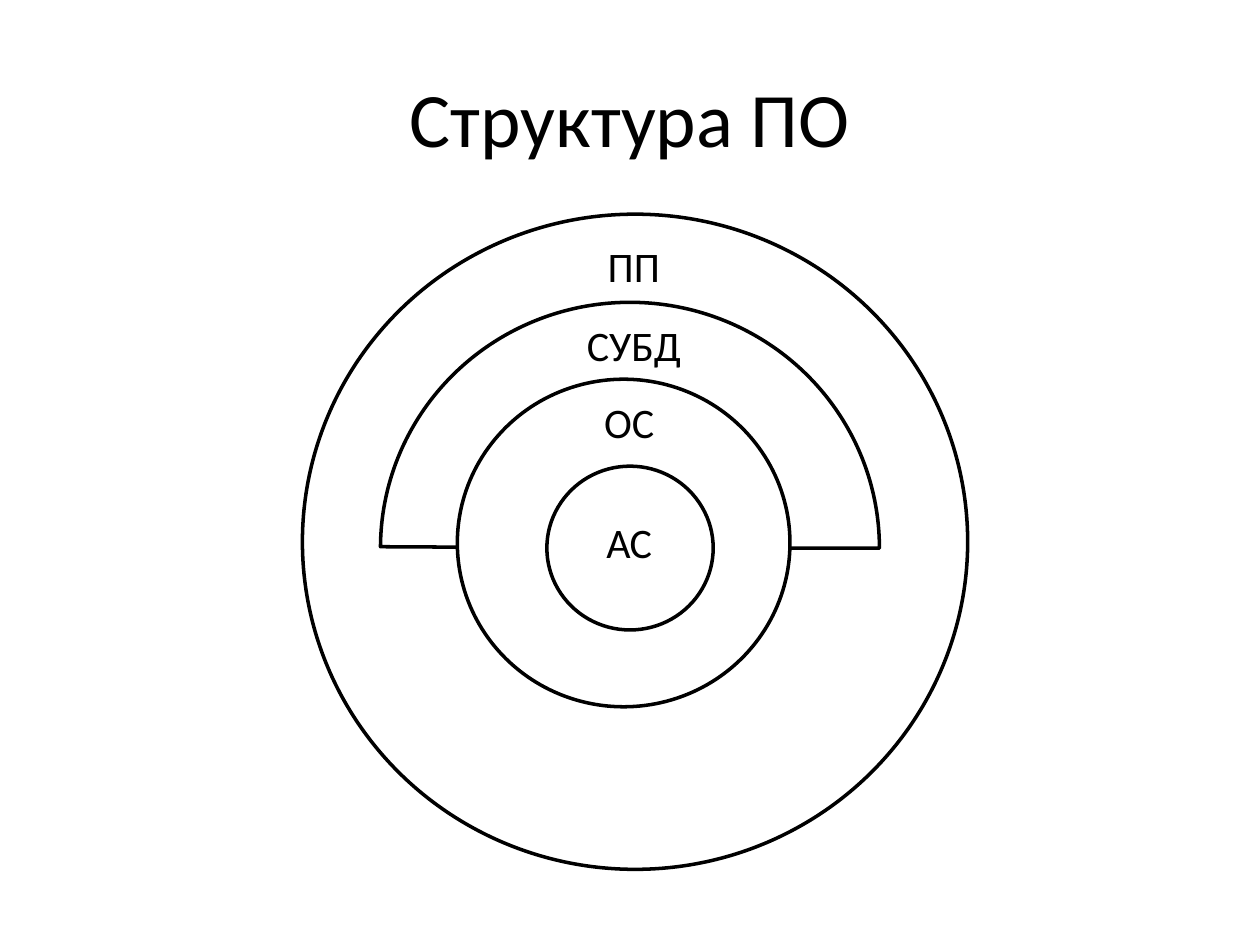
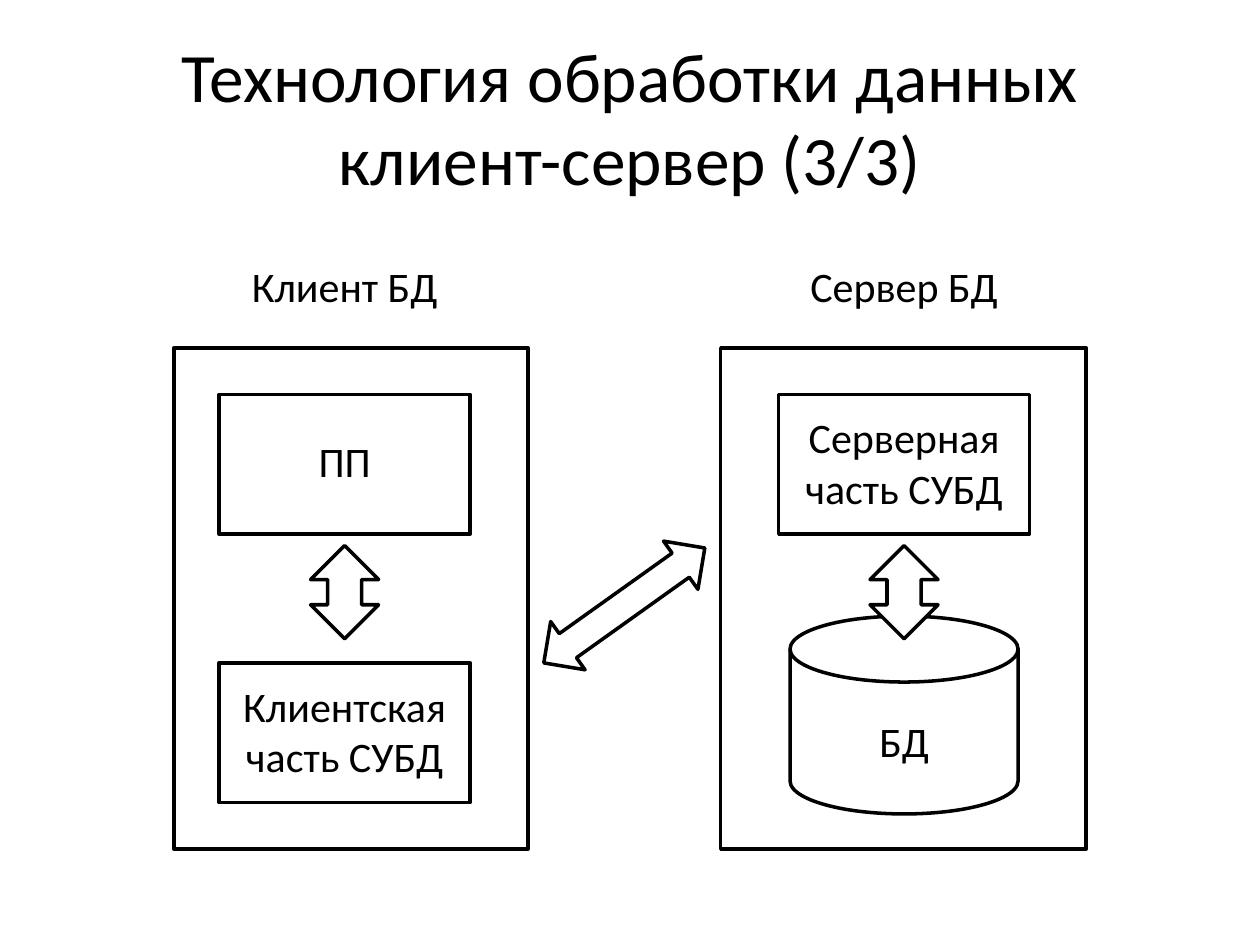
from dataclasses import dataclass

from pptx import Presentation
from pptx.dml.color import RGBColor
from pptx.enum.shapes import MSO_SHAPE
from pptx.enum.text import MSO_ANCHOR, PP_ALIGN
from pptx.util import Pt


@dataclass(frozen=True)
class Theme:
    font: str = "Calibri"
    ink: RGBColor = RGBColor(0, 0, 0)
    paper: RGBColor = RGBColor(255, 255, 255)
    title_size: float = 44
    long_title_size: float = 39.6
    label_size: float = 24
    line_width: float = 2


THEME = Theme()
BLANK_LAYOUT = 6
TITLE_AREA = (360, 21.6, 648, 90)  # centre x, top, width, height

LAYERS_TITLE = "Структура ПО"
CORE_SIZE = (95.04, 93.6)
# shape, multiple of the core size, centre x, centre y
RINGS = [
    (MSO_SHAPE.OVAL, 4, 362.88, 309.6),
    (MSO_SHAPE.PIE, 3, 360, 313.2),
    (MSO_SHAPE.OVAL, 2, 356.4, 310.32),
    (MSO_SHAPE.OVAL, 1, 360, 313.2),
]
HALF_RING_ANGLES = (108.18, 0.02)
# text, centre x, top, width
RING_LABELS = [
    ("АС", 359.6, 291.6, 69.84),
    ("ОС", 359.6, 223.2, 69.84),
    ("СУБД", 362.2, 179.28, 95.04),
    ("ПП", 362.2, 133.92, 95.04),
]
RING_LABEL_HEIGHT = 40.32

CLIENT_SERVER_TITLE = "Технология обработки данных клиент-сервер (3/3)"
CLIENT_X, SERVER_X = 196.92, 516.6
UPPER_TOP, LOWER_TOP = 225.36, 378.72
BOX_SIZE = (143.28, 79.92)
WIDE_LABEL, NARROW_LABEL = 130.32, 78.48
ONE_LINE, TWO_LINES = 36, 65.52
# shape, centre x, top, width, height
PARTS = [
    (MSO_SHAPE.RECTANGLE, 516.24, 198.72, 208.8, 286.56),
    (MSO_SHAPE.RECTANGLE, 200.52, 198.72, 202.32, 286.56),
    (MSO_SHAPE.FLOWCHART_MAGNETIC_DISK, SERVER_X, 352.08, 130.32, 113.04),
    (MSO_SHAPE.RECTANGLE, SERVER_X, UPPER_TOP, *BOX_SIZE),
    (MSO_SHAPE.RECTANGLE, CLIENT_X, LOWER_TOP, *BOX_SIZE),
    (MSO_SHAPE.RECTANGLE, CLIENT_X, UPPER_TOP, *BOX_SIZE),
]
# text, centre x, top, width, height
PART_LABELS = [
    ("Серверная часть СУБД", SERVER_X, 231.84, WIDE_LABEL, TWO_LINES),
    ("БД", SERVER_X, 405.36, NARROW_LABEL, ONE_LINE),
    ("Клиентская часть СУБД", CLIENT_X, 385.2, WIDE_LABEL, TWO_LINES),
    ("ПП", CLIENT_X, 245.52, NARROW_LABEL, ONE_LINE),
    ("Клиент БД", CLIENT_X, 145.44, WIDE_LABEL, ONE_LINE),
    ("Сервер БД", SERVER_X, 145.44, WIDE_LABEL, ONE_LINE),
]
INNER_ARROW = (311.76, 38.88, 53.28)  # top, width, height
NETWORK_ARROW = (356.76, 329.04, 113.04, 33.84)
NETWORK_ANGLE = 324.5


def frame(center_x, top, width, height):
    """Turn a centred area into left, top, width and height lengths."""
    return Pt(center_x - width / 2), Pt(top), Pt(width), Pt(height)


def add_outline(page, kind, *area):
    shape = page.shapes.add_shape(kind, *frame(*area))
    shape.shadow.inherit = False
    shape.fill.solid()
    shape.fill.fore_color.rgb = THEME.paper
    shape.line.color.rgb = THEME.ink
    shape.line.width = Pt(THEME.line_width)
    return shape


def add_label(page, text, *area, size=THEME.label_size, anchor=MSO_ANCHOR.TOP):
    text_frame = page.shapes.add_textbox(*frame(*area)).text_frame
    text_frame.word_wrap = True
    text_frame.vertical_anchor = anchor
    text_frame.text = text
    para = text_frame.paragraphs[0]
    para.alignment = PP_ALIGN.CENTER
    para.font.name = THEME.font
    para.font.size = Pt(size)
    para.font.color.rgb = THEME.ink


def add_page(deck, title, title_size):
    page = deck.slides.add_slide(deck.slide_layouts[BLANK_LAYOUT])
    add_label(page, title, *TITLE_AREA, size=title_size, anchor=MSO_ANCHOR.MIDDLE)
    return page


def build_layers(deck):
    page = add_page(deck, LAYERS_TITLE, THEME.title_size)
    for kind, multiple, center_x, center_y in RINGS:
        width, height = (multiple * side for side in CORE_SIZE)
        ring = add_outline(page, kind, center_x, center_y - height / 2, width, height)
        if kind == MSO_SHAPE.PIE:
            ring.adjustments[0], ring.adjustments[1] = HALF_RING_ANGLES
    for label in RING_LABELS:
        add_label(page, *label, RING_LABEL_HEIGHT)


def build_client_server(deck):
    page = add_page(deck, CLIENT_SERVER_TITLE, THEME.long_title_size)
    for part in PARTS:
        add_outline(page, *part)
    for label in PART_LABELS:
        add_label(page, *label)
    for center_x in (SERVER_X, CLIENT_X):
        add_outline(page, MSO_SHAPE.UP_DOWN_ARROW, center_x, *INNER_ARROW)
    network = add_outline(page, MSO_SHAPE.LEFT_RIGHT_ARROW, *NETWORK_ARROW)
    network.rotation = NETWORK_ANGLE


def main():
    deck = Presentation()
    deck.slide_width, deck.slide_height = Pt(720), Pt(540)
    build_layers(deck)
    build_client_server(deck)
    deck.save("out.pptx")


if __name__ == "__main__":
    main()
